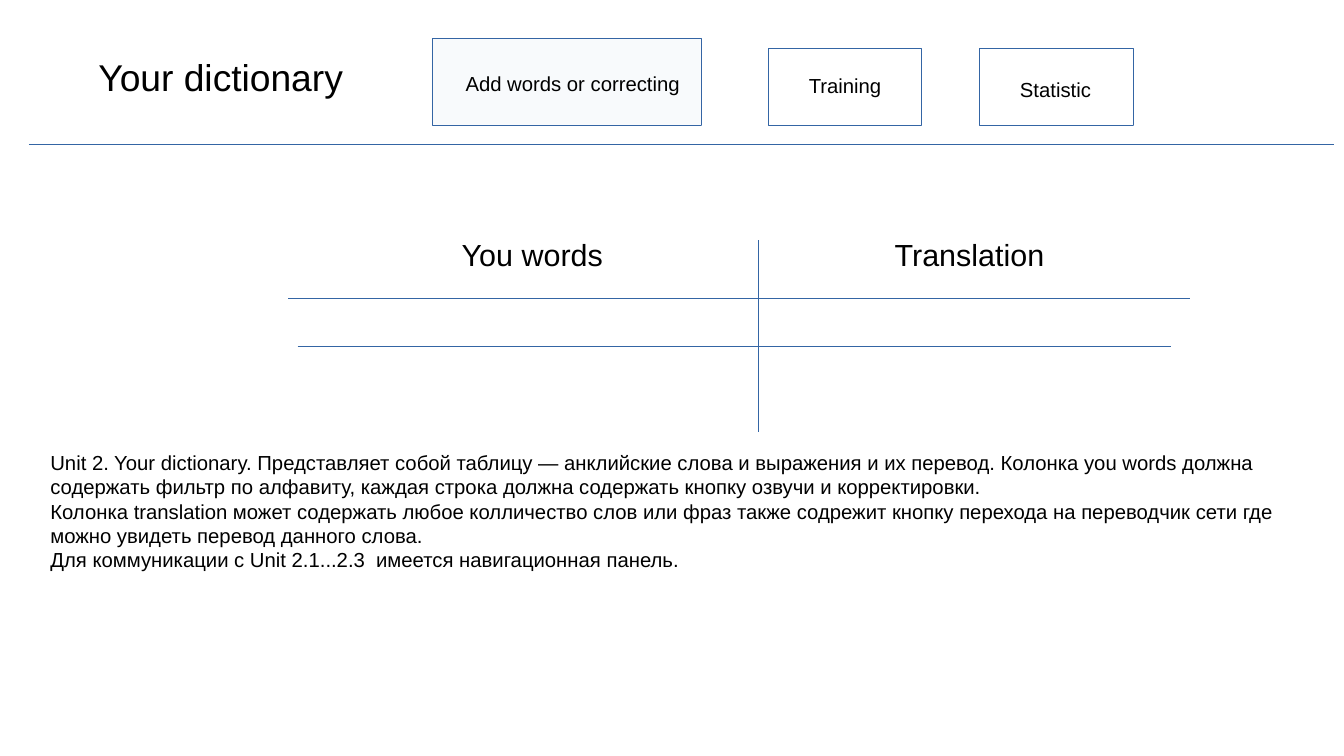
from dataclasses import dataclass

from lxml import etree
from pptx import Presentation
from pptx import util as u
from pptx.dml.color import RGBColor
from pptx.enum import shapes, text
from pptx.oxml import ns

BLACK = RGBColor(0x00, 0x00, 0x00)
BLUE = RGBColor(0x34, 0x65, 0xA4)
WHITE = RGBColor(0xFF, 0xFF, 0xFF)
PALE = RGBColor(0xF8, 0xFA, 0xFC)
FONT = "Arial"
HAIR = u.Pt(0.1)

# Grid: 28 columns by 15.75 rows, one centimetre each
COLS, ROWS = 28, 15.75
CELL = u.Cm(1)


@dataclass
class Box:
    x: float
    y: float
    w: float
    h: float


@dataclass
class Button:
    box: Box
    fill: RGBColor
    label: str
    place: Box


@dataclass
class Rule:
    x1: float
    y1: float
    x2: float
    y2: float


BUTTONS = [
    Button(Box(20.4, 1, 3.2, 1.6), WHITE, "Statistic", Box(21, 1.48, 2.4, 0.74)),
    Button(Box(16, 1, 3.2, 1.6), WHITE, "Training", Box(16.6, 1.4, 2.4, 0.74)),
    Button(Box(9, 0.8, 5.6, 1.8), PALE, "Add words or correcting", Box(9.45, 1.35, 5.1, 0.74)),
]
RULES = [
    Rule(0.6, 3, 27.8, 3),
    Rule(6, 6.2, 24.8, 6.2),
    Rule(15.8, 5, 15.8, 9),
    Rule(6.2, 7.2, 24.4, 7.2),
]
HEADS = {
    "You words": Box(9.37, 4.8, 3.6, 0.97),
    "Translation": Box(18.39, 4.8, 3.8, 0.97),
}
NOTE = [
    "Unit 2. Your dictionary. Представляет собой таблицу — анклийские слова "
    "и выражения и их перевод. Колонка you words должна",
    "содержать фильтр по алфавиту, каждая строка должна содержать кнопку "
    "озвучи и корректировки.",
    "Колонка translation может содержать любое колличество слов или фраз "
    "также содрежит кнопку перехода на переводчик сети где",
    "можно увидеть перевод данного слова.",
    "Для коммуникации с Unit 2.1...2.3  имеется навигационная панель.",
]


def grid(*units: float) -> list[int]:
    return [round(unit * CELL) for unit in units]


def frame(box: Box) -> list[int]:
    return grid(box.x, box.y, box.w, box.h)


def write(slide, lines: list[str], box: Box, size: float = 12,
          align=text.PP_ALIGN.LEFT, anchor=text.MSO_ANCHOR.TOP,
          pad: tuple[float, float] = (0.1, 0.05)) -> None:
    body = slide.shapes.add_textbox(*frame(box)).text_frame
    body.word_wrap = True
    body.vertical_anchor = anchor
    body.margin_left = body.margin_right = u.Inches(pad[0])
    body.margin_top = body.margin_bottom = u.Inches(pad[1])
    body.text = "\n".join(lines)
    for para in body.paragraphs:
        para.alignment = align
        para.font.name = FONT
        para.font.size = u.Pt(size)
        para.font.color.rgb = BLACK


def draw_button(slide, button: Button) -> None:
    rect = slide.shapes.add_shape(shapes.MSO_SHAPE.RECTANGLE, *frame(button.box))
    rect.shadow.inherit = False
    rect.fill.solid()
    rect.fill.fore_color.rgb = button.fill
    rect.line.color.rgb = BLUE
    rect.line.width = HAIR
    write(slide, [button.label], button.place)


def draw_rule(slide, rule: Rule) -> None:
    line = slide.shapes.add_connector(
        shapes.MSO_CONNECTOR.STRAIGHT, *grid(rule.x1, rule.y1, rule.x2, rule.y2))
    line.line.color.rgb = BLUE
    line.line.width = HAIR
    etree.SubElement(line._element.spPr, ns.qn("a:effectLst"))


def main() -> None:
    deck = Presentation()
    deck.slide_width, deck.slide_height = grid(COLS, ROWS)
    slide = deck.slides.add_slide(deck.slide_layouts[6])

    # Navigation bar
    for button in BUTTONS:
        draw_button(slide, button)
    write(slide, ["Your dictionary"], Box(1.6, 0.8, 6, 1.6), size=22, pad=(0, 0),
          align=text.PP_ALIGN.CENTER, anchor=text.MSO_ANCHOR.MIDDLE)

    # Divider and word table
    for rule in RULES:
        draw_rule(slide, rule)
    for head, box in HEADS.items():
        write(slide, [head], box, size=18)

    # Description
    write(slide, NOTE, Box(0.8, 9.25, 26.8, 2.62))

    deck.save("out.pptx")


if __name__ == "__main__":
    main()
